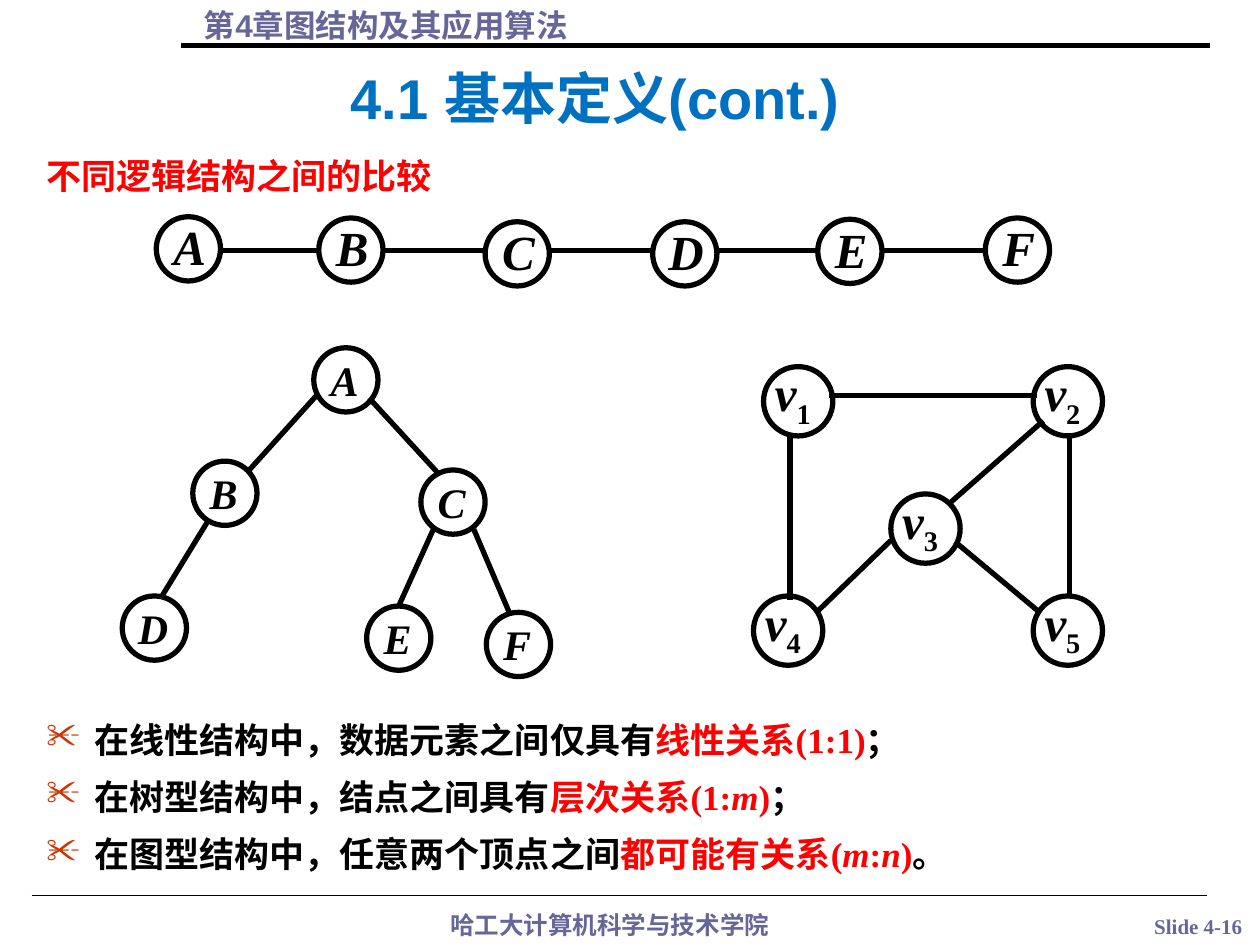
"""Builds a slide comparing linear, tree and graph structures."""
from lxml import etree
from pptx import Presentation
from pptx.dml.color import RGBColor
from pptx.enum.shapes import MSO_CONNECTOR as CONN, MSO_SHAPE as SHAPE
from pptx.enum.text import MSO_ANCHOR as ANCHOR, PP_ALIGN as ALIGN
from pptx.oxml.ns import qn
from pptx.util import Inches, Pt

COLORS = {"black": "000000", "red": "FF0000", "title": "0070C0",
          "muted": "666699", "bullet": "CC3300"}
SERIF, SANS, CJK = "Times New Roman", "Arial", "Noto Sans CJK SC"


def add_run(p, text, size, color, font=SERIF, italic=False):
    r = p.add_run()
    r.text = text
    r.font.size, r.font.name = Pt(size), font
    r.font.bold, r.font.italic = True, italic
    r.font.color.rgb = RGBColor.from_string(COLORS[color])
    ea = etree.SubElement(r._r.get_or_add_rPr(), qn("a:ea"))
    ea.set("typeface", CJK)
    return r


def add_line(x1, y1, x2, y2, width=3):
    line = sp_tree.add_connector(CONN.STRAIGHT, Inches(x1), Inches(y1), Inches(x2), Inches(y2))
    line.line.width = Pt(width)
    line.line.color.rgb = RGBColor.from_string(COLORS["black"])
    etree.SubElement(line._element.spPr, qn("a:effectLst"))


prs = Presentation()
prs.slide_width, prs.slide_height = Inches(10), Inches(7.5)
s = prs.slides.add_slide(prs.slide_layouts[5])
sp_tree = s.shapes

title = s.shapes.title
title.left, title.top, title.width, title.height = map(Inches, (1.36, 0.42, 6.73, 0.67))
title.text_frame.vertical_anchor = ANCHOR.BOTTOM
p = title.text_frame.paragraphs[0]
p.alignment = ALIGN.CENTER
add_run(p, "4.1 基本定义(cont.)", 32, "title", SANS)

captions = [
    ("第4章图结构及其应用算法", (1.52, 0, 8.03, 0.4), 18, "muted", SANS, ALIGN.LEFT, True),
    ("不同逻辑结构之间的比较", (0.27, 1.18, 9.52, 0.45), 20, "red", SANS, ALIGN.LEFT, True),
    ("哈工大计算机科学与技术学院", (3.04, 7.17, 3.6, 0.34), 14, "muted", CJK, ALIGN.CENTER, True),
    ("Slide 4-16", (8.77, 7.2, 1.48, 0.3), 12, "muted", SERIF, ALIGN.CENTER, False),
]
for text, box, size, color, font, align, wrap in captions:
    tf = s.shapes.add_textbox(*map(Inches, box)).text_frame
    tf.word_wrap = wrap
    p = tf.paragraphs[0]
    p.alignment = align
    add_run(p, text, size, color, font)

add_line(1.44, 0.36, 9.6, 0.36)
add_line(0.25, 7.11, 9.58, 7.11, 0.75)

structures = [
    {"diameter": 0.51, "size": 28, "label": (0.05, -0.04, 0.43, 0.67),
     "margins": (0, 0.04, 0, 0), "align": ALIGN.CENTER,
     "nodes": [("A", 1.24, 1.72), ("B", 2.53, 1.73), ("C", 3.85, 1.76),
               ("D", 5.18, 1.76), ("E", 6.49, 1.74), ("F", 7.82, 1.73)],
     "edges": [(x, 1.99, x + 0.82, 1.99) for x in (1.73, 3.04, 4.37, 5.69, 6.99)]},
    {"diameter": 0.51, "size": 24, "label": (0.03, 0.01, 0.43, 0.67),
     "margins": (0, 0.04, 0, 0), "align": ALIGN.CENTER,
     "nodes": [("A", 2.49, 2.76), ("B", 1.53, 3.66), ("C", 3.34, 3.73),
               ("D", 0.97, 4.73), ("E", 2.91, 4.81), ("F", 3.86, 4.86)],
     "edges": [(2.52, 3.13, 1.97, 3.74), (2.93, 3.16, 3.49, 3.77), (1.66, 4.12, 1.28, 4.74),
               (3.44, 4.2, 3.16, 4.82), (3.76, 4.2, 4.05, 4.88)]},
    {"diameter": 0.55, "size": 28, "label": (0.08, -0.06, 0.51, 0.65),
     "margins": (0.01, 0.03, 0, 0.01), "align": ALIGN.JUSTIFY,
     "nodes": [("v1", 6.06, 2.91), ("v2", 8.2, 2.91), ("v3", 7.07, 3.92),
               ("v4", 5.98, 4.73), ("v5", 8.2, 4.73)],
     "edges": [(6.58, 3.14, 8.23, 3.14), (6.27, 3.44, 6.27, 4.76), (8.49, 3.44, 8.49, 4.74),
               (8.28, 3.34, 7.53, 4), (7.07, 4.29, 6.48, 4.86), (7.58, 4.3, 8.24, 4.85)]},
]
for group in structures:
    for edge in group["edges"]:
        add_line(*edge)
    d = Inches(group["diameter"])
    dx, dy, w, h = group["label"]
    for name, x, y in group["nodes"]:
        node = s.shapes.add_shape(SHAPE.OVAL, Inches(x), Inches(y), d, d)
        node.shadow.inherit = False
        node.fill.background()
        node.line.width = Pt(3)
        node.line.color.rgb = RGBColor.from_string(COLORS["black"])
        tf = s.shapes.add_textbox(Inches(x + dx), Inches(y + dy), Inches(w), Inches(h)).text_frame
        tf.word_wrap = True
        tf.margin_left, tf.margin_top, tf.margin_right, tf.margin_bottom = map(
            Inches, group["margins"])
        p = tf.paragraphs[0]
        p.alignment = group["align"]
        add_run(p, name[0], group["size"], "black", italic=True)
        if name[1:]:
            r = add_run(p, name[1:], group["size"], "black")
            r._r.get_or_add_rPr().set("baseline", "-25000")

conclusions = [
    [("在线性结构中，数据元素之间仅具有", "black"), ("线性关系(1:1)", "red"), ("；", "black")],
    [("在树型结构中，结点之间具有", "black"), ("层次关系(1:", "red"), ("m", "red"),
     (")", "red"), ("；", "black")],
    [("在图型结构中，任意两个顶点之间", "black"), ("都可能有关系(", "red"), ("m", "red"),
     (":", "red"), ("n", "red"), (")", "red"), ("。", "black")],
]
tf = s.shapes.add_textbox(Inches(0.27), Inches(5.65), Inches(9.52), Inches(1.38)).text_frame
tf.word_wrap = True
for i, runs in enumerate(conclusions):
    p = tf.add_paragraph() if i else tf.paragraphs[0]
    p.space_before = Pt(8.8 if i else 0)
    pPr = p._p.get_or_add_pPr()
    pPr.set("marL", str(Inches(0.38)))
    pPr.set("indent", str(-Inches(0.38)))
    color = etree.SubElement(etree.SubElement(pPr, qn("a:buClr")), qn("a:srgbClr"))
    color.set("val", COLORS["bullet"])
    etree.SubElement(pPr, qn("a:buChar")).set("char", "✂")
    for text, color in runs:
        add_run(p, text, 20, color, italic=text in ("m", "n"))

prs.save("out.pptx")
